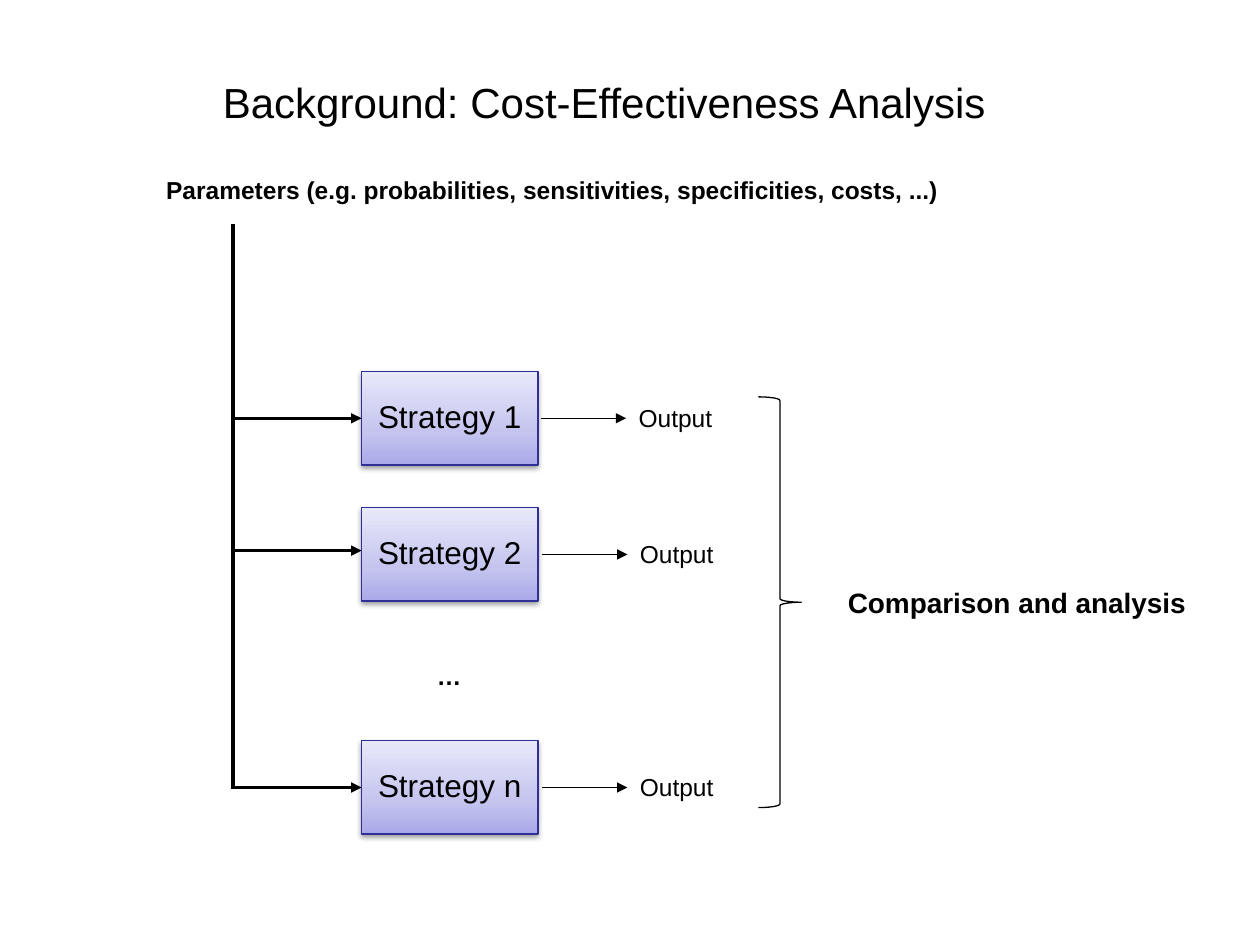
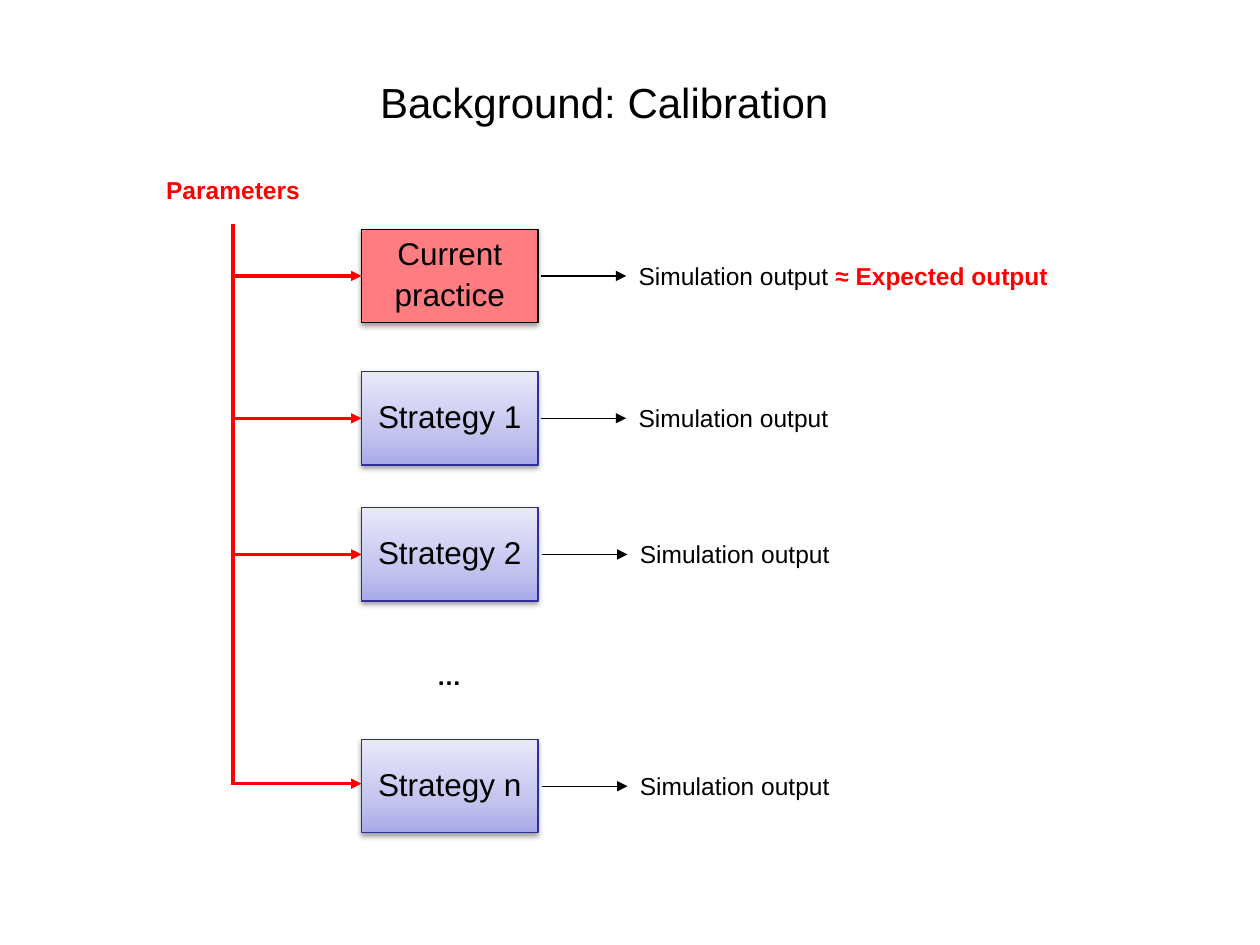
from dataclasses import dataclass

from lxml import etree
from pptx import Presentation
from pptx.dml.color import RGBColor
from pptx.enum.shapes import MSO_CONNECTOR as Connector, MSO_SHAPE as Shape
from pptx.enum.text import MSO_ANCHOR as Anchor, PP_ALIGN as Align
from pptx.oxml.ns import qn
from pptx.util import Inches, Pt


# Shared look
@dataclass(frozen=True)
class Theme:
    font: str = "Arial"
    ink: str = "000000"
    paper: str = "FFFFFF"
    accent: str = "FF0000"
    current_fill: str = "FF7C80"
    strategy_line: str = "2F2F98"
    strategy_stops: tuple = ((0, "A9A9E9"), (35, "C4C4EF"), (100, "E8E8FA"))
    title_size: int = 24
    box_size: int = 18
    result_size: int = 16
    label_size: int = 14
    thin: float = 0.75
    thick: float = 2


THEME = Theme()

# Shared geometry, in inches
BOX_LEFT, BOX_WIDTH, BOX_HEIGHT = 2.87, 1.4, 0.74
TRUNK_X, TRUNK_TOP = 1.85, 1.78
OUTPUT_LEFT, LABEL_HEIGHT = 4.97, 0.34


@dataclass(frozen=True)
class Row:
    name: str
    top: float
    branch_y: float
    shift: float = 0  # small offset of the output arrow and its label
    current: bool = False
    expected: str = ""


def write_text(frame, text, *, size=THEME.label_size, color=THEME.ink, bold=False,
               align=Align.LEFT, anchor=Anchor.TOP, wrap=True,
               line_spacing=None, space_before=None, accent=""):
    """Fill a frame, one paragraph per line; accent adds a bold run at the end."""
    frame.word_wrap = wrap
    frame.vertical_anchor = anchor
    for index, line in enumerate(text.split("\n")):
        paragraph = frame.paragraphs[0] if index == 0 else frame.add_paragraph()
        paragraph.alignment = align
        paragraph.line_spacing = line_spacing
        paragraph.space_before = space_before
        runs = [(line, color, bold)]
        if accent:
            runs.append((accent, THEME.accent, True))
        for words, run_color, run_bold in runs:
            run = paragraph.add_run()
            run.text = words
            run.font.name = THEME.font
            run.font.size = Pt(size)
            run.font.bold = run_bold
            run.font.color.rgb = RGBColor.from_string(run_color)


def add_color(parent, value):
    return etree.SubElement(parent, qn("a:srgbClr"), val=value)


class Deck:
    def __init__(self, theme):
        self.theme = theme
        self.presentation = Presentation()
        self.presentation.slide_width = Inches(10)
        self.presentation.slide_height = Inches(7.5)
        self.slide = None

    def start_slide(self, title):
        self.slide = self.presentation.slides.add_slide(
            self.presentation.slide_layouts[6])
        self.label(title, 0.5, 0.3, 8.59, 1.01, size=self.theme.title_size,
                   align=Align.CENTER, anchor=Anchor.MIDDLE)

    def label(self, text, left, top, width, height=LABEL_HEIGHT, **style):
        box = self.slide.shapes.add_textbox(
            Inches(left), Inches(top), Inches(width), Inches(height))
        write_text(box.text_frame, text, **style)

    def shape(self, kind, left, top, width, height, line, fill):
        item = self.slide.shapes.add_shape(
            kind, Inches(left), Inches(top), Inches(width), Inches(height))
        item.shadow.inherit = False
        item.line.color.rgb = RGBColor.from_string(line)
        item.line.width = Pt(self.theme.thin)
        if isinstance(fill, str):
            item.fill.solid()
            item.fill.fore_color.rgb = RGBColor.from_string(fill)
        else:
            self.gradient(item, fill)
        return item

    def gradient(self, item, stops):
        item.fill.gradient()
        item.fill.gradient_angle = 90
        stop_list = item.element.spPr.find(".//" + qn("a:gsLst"))
        for old_stop in list(stop_list):
            stop_list.remove(old_stop)
        for percent, color in stops:
            stop = etree.SubElement(stop_list, qn("a:gs"), pos=str(percent * 1000))
            add_color(stop, color)

    def drop_shadow(self, item):
        effects = item.element.spPr.find(qn("a:effectLst"))
        shadow = etree.SubElement(
            effects, qn("a:outerShdw"), blurRad=str(Pt(3.1)), dist=str(Pt(1.6)),
            dir="5400000", rotWithShape="0")
        etree.SubElement(add_color(shadow, self.theme.ink), qn("a:alpha"), val="38000")

    def box(self, row):
        theme = self.theme
        line = theme.ink if row.current else theme.strategy_line
        fill = theme.current_fill if row.current else theme.strategy_stops
        item = self.shape(Shape.RECTANGLE, BOX_LEFT, row.top, BOX_WIDTH, BOX_HEIGHT,
                          line, fill)
        self.drop_shadow(item)
        write_text(item.text_frame, row.name, size=theme.box_size, align=Align.CENTER,
                   anchor=Anchor.MIDDLE, wrap=False, line_spacing=0.9,
                   space_before=Pt(theme.box_size * 0.2))

    def line(self, start, end, color, width, arrow=True):
        item = self.slide.shapes.add_connector(
            Connector.STRAIGHT, *(Inches(value) for value in (*start, *end)))
        item.line.color.rgb = RGBColor.from_string(color)
        item.line.width = Pt(width)
        if arrow:
            etree.SubElement(item.line._get_or_add_ln(), qn("a:tailEnd"), type="triangle")
        etree.SubElement(item.element.spPr, qn("a:effectLst"))

    def strategy_rows(self, rows, output, output_width, color):
        """Draw the parameter trunk with a branch, box and output for each row."""
        theme = self.theme
        for row in rows:
            middle = row.top + BOX_HEIGHT / 2
            left = OUTPUT_LEFT + row.shift
            self.box(row)
            self.label(output, left, middle - LABEL_HEIGHT / 2,
                       3.97 if row.expected else output_width, accent=row.expected)
            self.line((left - 0.68, middle), (left, middle), theme.ink, theme.thin)
            self.line((TRUNK_X, row.branch_y), (BOX_LEFT, row.branch_y),
                      color, theme.thick)
        self.line((TRUNK_X, TRUNK_TOP), (TRUNK_X, rows[-1].branch_y + 0.01),
                  color, theme.thick, arrow=False)
        self.label("…", 3.37, 5.2, 1.26, bold=True)


def cost_effectiveness(deck):
    deck.start_slide("Background: Cost-Effectiveness Analysis")
    deck.label("Parameters (e.g. probabilities, sensitivities, specificities, costs, ...)",
               1.22, 1.34, 7.8, bold=True)
    rows = [Row("Strategy 1", 2.95, 3.32),
            Row("Strategy 2", 4.03, 4.37, shift=0.01),
            Row("Strategy n", 5.88, 6.25, shift=0.01)]
    deck.strategy_rows(rows, "Output", 0.8, THEME.ink)
    # Outputs brought together
    deck.shape(Shape.RIGHT_BRACE, 6.02, 3.15, 0.34, 3.26, THEME.ink, THEME.paper)
    deck.label("Comparison and analysis", 6.63, 4.6, 3.05, 0.37,
               size=THEME.result_size, bold=True)


def calibration(deck):
    deck.start_slide("Background: Calibration")
    deck.label("Parameters", 1.22, 1.34, 1.26, color=THEME.accent, bold=True,
               align=Align.CENTER)
    rows = [Row("Current\npractice", 1.82, 2.19, current=True,
                expected="≈ Expected output"),
            Row("Strategy 1", 2.95, 3.32),
            Row("Strategy 2", 4.03, 4.4, shift=0.01),
            Row("Strategy n", 5.87, 6.22, shift=0.01)]
    deck.strategy_rows(rows, "Simulation output ", 1.92, THEME.accent)


def main():
    deck = Deck(THEME)
    cost_effectiveness(deck)
    calibration(deck)
    deck.presentation.save("out.pptx")


if __name__ == "__main__":
    main()
